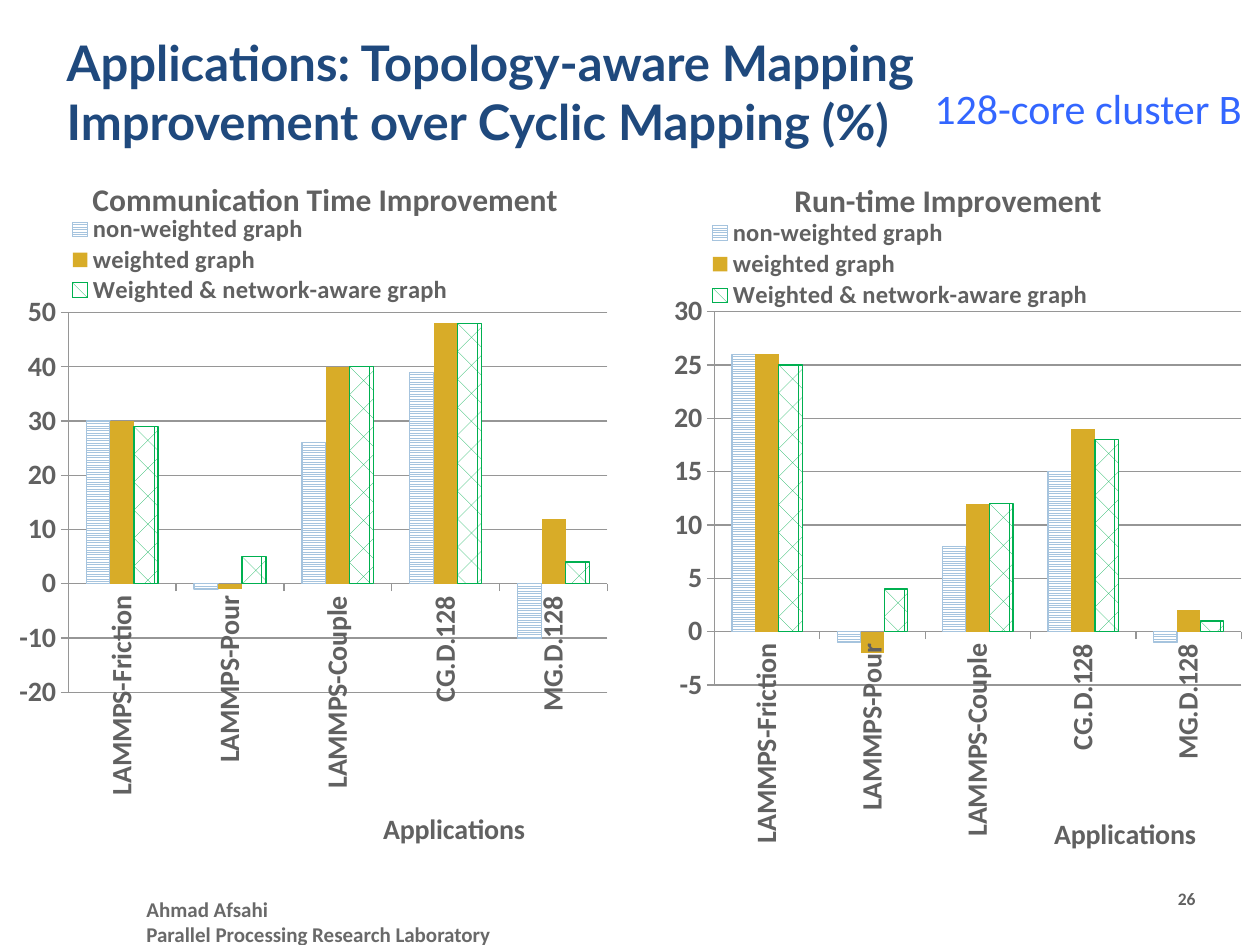
from pptx import Presentation
from pptx.chart.data import CategoryChartData
from pptx.dml.color import RGBColor
from pptx.enum.chart import XL_CHART_TYPE, XL_LEGEND_POSITION, XL_TICK_MARK
from pptx.enum.dml import MSO_PATTERN
from pptx.enum.text import MSO_ANCHOR, PP_ALIGN
from pptx.oxml import parse_xml
from pptx.oxml.ns import nsdecls, qn
from pptx.util import Pt

COLUMNS = XL_CHART_TYPE.COLUMN_CLUSTERED
LEGEND_TOP = XL_LEGEND_POSITION.TOP
TICK_OUT, TICK_NONE = XL_TICK_MARK.OUTSIDE, XL_TICK_MARK.NONE
LINES, DIVOT = MSO_PATTERN.LIGHT_HORIZONTAL, MSO_PATTERN.DIVOT
TOP, LEFT, RIGHT = MSO_ANCHOR.TOP, PP_ALIGN.LEFT, PP_ALIGN.RIGHT

WHITE = RGBColor(0xFF, 0xFF, 0xFF)
NAVY = RGBColor(0x1F, 0x49, 0x7D)
BLUE = RGBColor(0x33, 0x66, 0xFF)
GRAY = RGBColor(0x61, 0x61, 0x61)
FOOTER_GRAY = RGBColor(0x69, 0x69, 0x69)
GRID_GRAY = RGBColor(0x96, 0x96, 0x96)
PALE_BLUE = RGBColor(0xA6, 0xC4, 0xDE)
GOLD = RGBColor(0xD8, 0xAC, 0x28)
GREEN = RGBColor(0x00, 0xB0, 0x50)

APPLICATIONS = ["LAMMPS-Friction", "LAMMPS-Pour", "LAMMPS-Couple", "CG.D.128", "MG.D.128"]
# Name, colour and pattern of each series
GRAPHS = [
    ("non-weighted graph", PALE_BLUE, LINES),
    ("weighted graph", GOLD, None),
    ("Weighted & network-aware graph", GREEN, DIVOT),
]
LEGEND_BOX = (0.1, 0.08, 0.64, 0.13)
CHARTS = [
    {
        "title": "Communication Time Improvement",
        "box": (0, 158, 620, 703),
        "scale": {"minimum_scale": -20, "maximum_scale": 50, "major_unit": 10},
        "values": [(30, -1, 26, 39, -10), (30, -1, 40, 48, 12), (29, 5, 40, 48, 4)],
        "plot": (0.11, 0.22, 0.87, 0.54),
        "title_at": (0.14, 0.02),
        "axis_title_at": (0.61, 0.92),
    },
    {
        "title": "Run-time Improvement",
        "box": (640, 158, 620, 732),
        "scale": {"minimum_scale": -5, "maximum_scale": 30, "major_unit": 5},
        "values": [(26, -1, 8, 15, -1), (26, -2, 12, 19, 2), (25, 4, 12, 18, 1)],
        "plot": (0.12, 0.21, 0.85, 0.51),
        "title_at": (0.24, 0.02),
        "axis_title_at": (0.66, 0.89),
    },
]


def px(length):
    return round(length * 914400 / 126)


def set_format(target, values):
    for name, value in values.items():
        setattr(target, name, value)


def set_font(font, size, color=GRAY, name="Calibri", bold=True):
    set_format(font, {"size": Pt(size), "name": name, "bold": bold})
    font.color.rgb = color


def set_layout(parent, fractions, after=None, inner=False):
    """Place a chart part by fractions of the chart: x, y and maybe w, h."""
    for old in parent.findall(qn("c:layout")):
        parent.remove(old)
    target = '<c:layoutTarget val="inner"/>' if inner else ""
    modes = '<c:xMode val="edge"/><c:yMode val="edge"/>'
    sizes = "".join(f'<c:{key} val="{value}"/>' for key, value in zip("xywh", fractions))
    layout = parse_xml(
        f'<c:layout {nsdecls("c")}><c:manualLayout>{target}{modes}{sizes}'
        "</c:manualLayout></c:layout>"
    )
    parent.insert(parent.index(parent.find(qn(after))) + 1 if after else 0, layout)


class SlideBuilder:
    def __init__(self, presentation):
        self.slide = presentation.slides.add_slide(presentation.slide_layouts[5])

    def fill_text(self, shape, lines, size, color, name="Calibri", bold=True, align=LEFT,
                  wrap=True):
        frame = shape.text_frame
        set_format(frame, {"text": lines, "word_wrap": wrap, "vertical_anchor": TOP})
        for paragraph in frame.paragraphs:
            paragraph.alignment = align
            set_font(paragraph.font, size, color, name, bold)

    def title(self, box, text, **style):
        shape = self.slide.shapes.title
        set_format(shape, dict(zip(("left", "top", "width", "height"), map(px, box))))
        self.fill_text(shape, text, **style)

    def text(self, box, text, **style):
        shape = self.slide.shapes.add_textbox(*map(px, box))
        self.fill_text(shape, text, **style)

    def heading(self, owner, text, size):
        frame = owner.text_frame
        frame.text = text
        set_font(frame.paragraphs[0].runs[0].font, size)

    def axis(self, axis):
        set_format(axis, {"major_tick_mark": TICK_OUT, "minor_tick_mark": TICK_NONE})
        set_font(axis.tick_labels.font, 16)
        axis.format.line.color.rgb = GRID_GRAY

    def series(self, series, color, pattern):
        series.invert_if_negative = False
        fill = series.format.fill
        if pattern is None:
            fill.solid()
            fill.fore_color.rgb = color
            return
        fill.patterned()
        fill.pattern = pattern
        fill.fore_color.rgb = color
        fill.back_color.rgb = WHITE
        series.format.line.color.rgb = color
        series.format.line.width = Pt(0.75)

    def chart(self, details):
        data = CategoryChartData()
        data.categories = APPLICATIONS
        for (name, _, _), values in zip(GRAPHS, details["values"]):
            data.add_series(name, values)
        chart = self.slide.shapes.add_chart(COLUMNS, *map(px, details["box"]), data).chart
        set_font(chart.font, 10, bold=False)

        # Columns
        plot = chart.plots[0]
        set_format(plot, {"gap_width": 150, "overlap": 0, "vary_by_categories": False})
        for series, (_, color, pattern) in zip(plot.series, GRAPHS):
            self.series(series, color, pattern)

        # Axes
        categories, values = chart.category_axis, chart.value_axis
        self.axis(categories)
        self.axis(values)
        set_format(values, {**details["scale"], "has_major_gridlines": True})
        values.major_gridlines.format.line.color.rgb = GRID_GRAY
        self.heading(categories.axis_title, "Applications", 16)

        # Heading and legend
        chart.has_title = True
        self.heading(chart.chart_title, details["title"], 18)
        chart.has_legend = True
        set_format(chart.legend, {"position": LEGEND_TOP, "include_in_layout": False})
        set_font(chart.legend.font, 14)

        # Upright category names and placed parts
        def find(query):
            return chart._chartSpace.xpath(query)[0]

        set_layout(find("//c:plotArea"), details["plot"], inner=True)
        set_layout(find("//c:legend"), LEGEND_BOX, after="c:legendPos")
        set_layout(find("c:chart/c:title"), details["title_at"], after="c:tx")
        set_layout(find("//c:catAx/c:title"), details["axis_title_at"], after="c:tx")
        find("c:chart/c:title/c:overlay").set("val", "1")
        label_body = find("//c:catAx/c:txPr/a:bodyPr")
        label_body.set("rot", "-5400000")
        label_body.set("vert", "horz")


def main():
    presentation = Presentation()
    set_format(presentation, {"slide_width": px(1260), "slide_height": px(945)})
    builder = SlideBuilder(presentation)

    # Title
    builder.title(
        (54, 26, 1170, 110),
        "Applications: Topology-aware Mapping\vImprovement over Cyclic Mapping (%)",
        size=28, color=NAVY, name="Lato",
    )

    # Charts
    for details in CHARTS:
        builder.chart(details)

    # Cluster label
    builder.text((922, 76, 338, 63), "128-core cluster B", size=24, color=BLUE,
                 bold=False, wrap=False)

    # Footer and slide number
    builder.text((134, 890, 410, 55), "Ahmad Afsahi\nParallel Processing Research Laboratory",
                 size=12, color=FOOTER_GRAY)
    builder.text((1004, 882, 204, 53), "26", size=10, color=GRAY, align=RIGHT)

    presentation.save("out.pptx")


if __name__ == "__main__":
    main()
